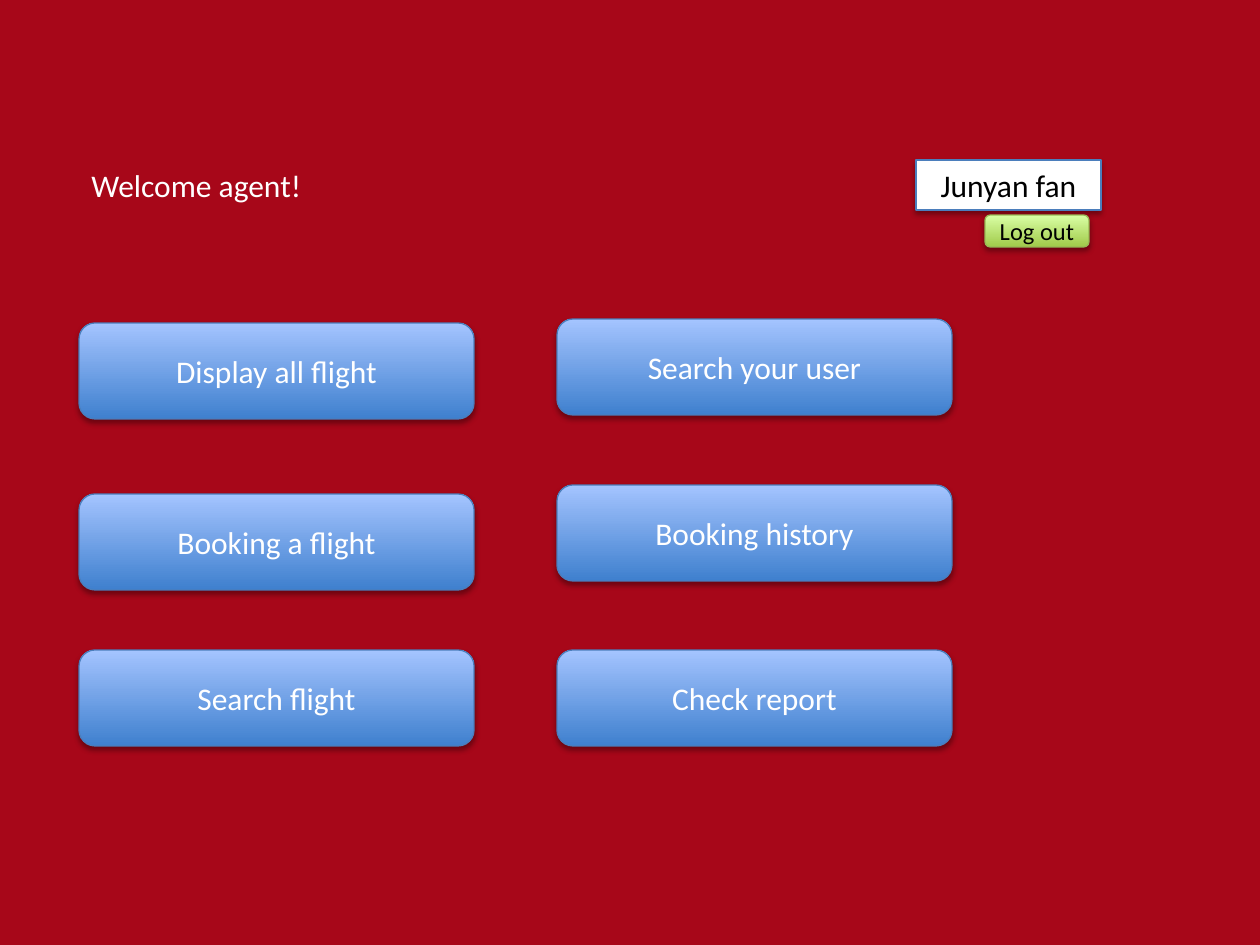
"""Build the agent home screen slide with its menu buttons."""
from dataclasses import dataclass

from lxml import etree
from pptx import Presentation
from pptx import util as u
from pptx.dml.color import RGBColor
from pptx.enum import shapes, text
from pptx.oxml.ns import qn

SLIDE_SIZE = (1260, 945)
WELCOME = ("Welcome agent!", (79, 160, 394, 50))
USER = ("Junyan fan", (916, 160, 185, 50))
LOG_OUT = ("Log out", (985, 215, 104, 32))
BUTTON_SIZE = (395, 96)
MENU = {
    79: [("Display all flight", 323), ("Booking a flight", 494), ("Search flight", 650)],
    557: [("Search your user", 319), ("Booking history", 485), ("Check report", 650)],
}


@dataclass(frozen=True)
class Theme:
    font: str = "Calibri"
    body: int = 18
    small: int = 14
    background: str = "A70719"
    light: str = "FFFFFF"
    dark: str = "000000"
    blue: tuple = ("3F80CE", "A4C4FF")
    blue_line: str = "4B7EBC"
    green: tuple = ("A0CA4A", "DAFFA5")
    green_line: str = "98B955"


THEME = Theme()


def px(length):
    return u.Emu(round(length * 914400 / 126))


def rgb(value):
    return RGBColor.from_string(value)


def write(shape, label, color, size, align):
    shape.text_frame.word_wrap = True
    paragraph = shape.text_frame.paragraphs[0]
    paragraph.text = label
    paragraph.alignment = align
    font = paragraph.font
    font.name, font.size, font.color.rgb = THEME.font, u.Pt(size), rgb(color)


def add_shadow(shape):
    shape.shadow.inherit = False
    effects = shape._element.spPr.find(qn("a:effectLst"))
    shadow = etree.SubElement(
        effects, qn("a:outerShdw"), blurRad=str(u.Pt(3.1)), dist=str(u.Pt(1.8)),
        dir="5400000", rotWithShape="0")
    color = etree.SubElement(shadow, qn("a:srgbClr"), val=THEME.dark)
    etree.SubElement(color, qn("a:alpha"), val="35000")


def add_box(slide, kind, label, frame, fill, line, color, size=THEME.body):
    box = slide.shapes.add_shape(kind, *map(px, frame))
    if isinstance(fill, tuple):
        box.fill.gradient()
        box.fill.gradient_angle = 90
        for stop, shade in zip(box.fill.gradient_stops, fill):
            stop.color.rgb = rgb(shade)
    else:
        box.fill.solid()
        box.fill.fore_color.rgb = rgb(fill)
    box.line.color.rgb = rgb(line)
    box.line.width = u.Pt(0.75)
    add_shadow(box)
    box.text_frame.vertical_anchor = text.MSO_ANCHOR.MIDDLE
    write(box, label, color, size, text.PP_ALIGN.CENTER)


def main():
    deck = Presentation()
    deck.slide_width, deck.slide_height = map(px, SLIDE_SIZE)
    slide = deck.slides.add_slide(deck.slide_layouts[6])
    slide.background.fill.solid()
    slide.background.fill.fore_color.rgb = rgb(THEME.background)

    label, frame = WELCOME
    welcome = slide.shapes.add_textbox(*map(px, frame))
    write(welcome, label, THEME.light, THEME.body, text.PP_ALIGN.LEFT)

    rounded = shapes.MSO_SHAPE.ROUNDED_RECTANGLE
    for left, buttons in MENU.items():
        for label, top in buttons:
            add_box(slide, rounded, label, (left, top, *BUTTON_SIZE),
                    THEME.blue, THEME.blue_line, THEME.light)

    add_box(slide, shapes.MSO_SHAPE.RECTANGLE, *USER,
            THEME.light, THEME.blue_line, THEME.dark)
    add_box(slide, rounded, *LOG_OUT,
            THEME.green, THEME.green_line, THEME.dark, THEME.small)
    deck.save("out.pptx")


if __name__ == "__main__":
    main()
